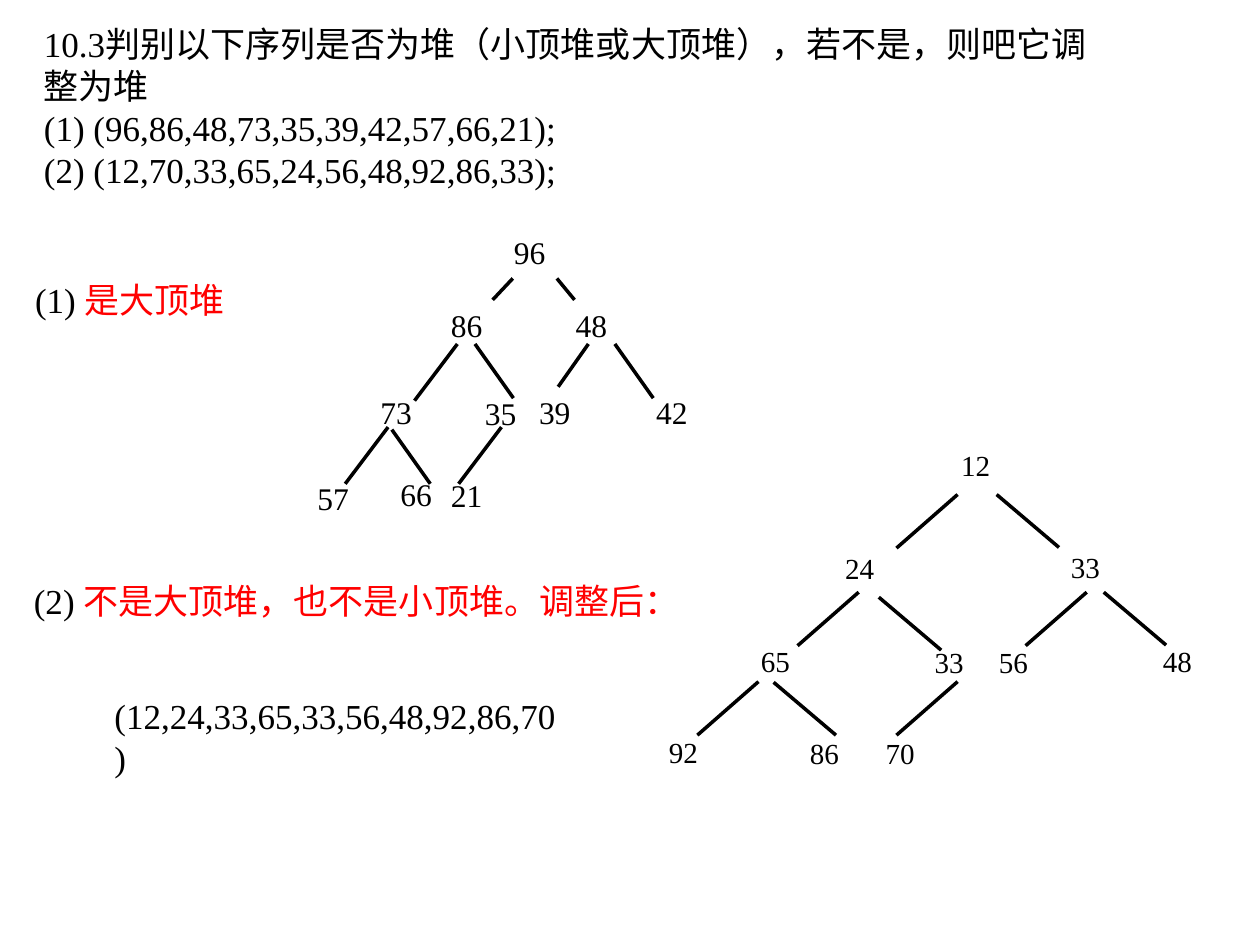
from dataclasses import dataclass

import pptx
import pptx.dml.color
import pptx.enum.shapes
import pptx.enum.text
import pptx.util
from lxml import etree

BLACK = pptx.dml.color.RGBColor(0x00, 0x00, 0x00)
WHITE = pptx.dml.color.RGBColor(0xFF, 0xFF, 0xFF)
RED = pptx.dml.color.RGBColor(0xFF, 0x00, 0x00)
FONT = "Times New Roman"
WIDTH, HEIGHT = pptx.util.Inches(10), pptx.util.Inches(7.5)
COLUMNS, ROWS = 100, 75
A_NS = "http://schemas.openxmlformats.org/drawingml/2006/main"


@dataclass(frozen=True)
class Run:
    text: str
    color: pptx.dml.color.RGBColor = BLACK


@dataclass(frozen=True)
class Passage:
    col: float
    row: float
    cols: float
    rows: float
    paragraphs: list[list[Run]]
    wrap: bool = False


@dataclass(frozen=True)
class Node:
    key: int
    col: float
    row: float


@dataclass(frozen=True)
class Branch:
    col: float
    row: float
    run: float
    drop: float


@dataclass(frozen=True)
class Heap:
    nodes: list[Node]
    branches: list[Branch]
    node_cols: float
    node_rows: float
    size: float
    spacing: float


def x(cols: float) -> int:
    return round(WIDTH * cols / COLUMNS)


def y(rows: float) -> int:
    return round(HEIGHT * rows / ROWS)


def add_run(paragraph, part: Run, size: float) -> None:
    run = paragraph.add_run()
    run.text = part.text
    run.font.name = FONT
    run.font.size = pptx.util.Pt(size)
    run.font.color.rgb = part.color


def draw_passage(shapes, passage: Passage) -> None:
    box = shapes.add_textbox(x(passage.col), y(passage.row), x(passage.cols), y(passage.rows))
    frame = box.text_frame
    frame.word_wrap = passage.wrap
    frame.auto_size = pptx.enum.text.MSO_AUTO_SIZE.SHAPE_TO_FIT_TEXT
    for index, parts in enumerate(passage.paragraphs):
        paragraph = frame.add_paragraph() if index else frame.paragraphs[0]
        for part in parts:
            add_run(paragraph, part, 20)


def draw_node(shapes, node: Node, heap: Heap) -> None:
    box = shapes.add_shape(
        pptx.enum.shapes.MSO_SHAPE.RECTANGLE,
        x(node.col), y(node.row), x(heap.node_cols), y(heap.node_rows),
    )
    box.shadow.inherit = False
    box.fill.solid()
    box.fill.fore_color.rgb = WHITE
    box.line.fill.background()
    frame = box.text_frame
    frame.word_wrap = True
    frame.vertical_anchor = pptx.enum.text.MSO_ANCHOR.TOP
    paragraph = frame.paragraphs[0]
    paragraph.alignment = pptx.enum.text.PP_ALIGN.LEFT
    paragraph.line_spacing = heap.spacing
    add_run(paragraph, Run(str(node.key)), heap.size)


def draw_branch(shapes, branch: Branch) -> None:
    line = shapes.add_connector(
        pptx.enum.shapes.MSO_CONNECTOR.STRAIGHT,
        x(branch.col), y(branch.row),
        x(branch.col + branch.run), y(branch.row + branch.drop),
    )
    line.line.color.rgb = BLACK
    line.line.width = pptx.util.Pt(2)
    etree.SubElement(line._element.spPr, f"{{{A_NS}}}effectLst")


def draw_heap(shapes, heap: Heap) -> None:
    group = shapes.add_group_shape()
    for node in heap.nodes:
        draw_node(group.shapes, node, heap)
    for branch in heap.branches:
        draw_branch(group.shapes, branch)


QUESTION = Passage(2.5, 1.3, 85, 14.4, [
    [Run("10.3判别以下序列是否为堆（小顶堆或大顶堆），若不是，则吧它调整为堆")],
    [Run("(1) (96,86,48,73,35,39,42,57,66,21);")],
    [Run("(2) (12,70,33,65,24,56,48,92,86,33);")],
], wrap=True)
FIRST_ANSWER = Passage(1.8, 21.6, 17.7, 4.4, [[Run("(1) "), Run("是大顶堆", RED)]])
SECOND_ANSWER = Passage(1.7, 45.5, 53.9, 4.4, [
    [Run("(2) "), Run("不是大顶堆，也不是小顶堆。调整后：", RED)],
])
ADJUSTED = Passage(8.1, 54.6, 37.9, 4.4, [[Run("(12,24,33,65,33,56,48,92,86,70)")]])

MAX_HEAP = Heap(
    nodes=[
        Node(96, 39.8, 18),
        Node(86, 34.8, 23.8), Node(48, 44.7, 23.8),
        Node(73, 29.2, 30.7), Node(35, 37.5, 30.8),
        Node(39, 41.8, 30.7), Node(42, 51.1, 30.7),
        Node(57, 24.2, 37.5), Node(66, 30.8, 37.2), Node(21, 34.8, 37.3),
    ],
    branches=[
        Branch(40.7, 22.1, -1.6, 1.7), Branch(44.2, 22.1, 1.4, 1.7),
        Branch(46.7, 27.3, -2.4, 3.4),
        *(Branch(col, row, -3.4, 4.5)
          for col, row in [(36.3, 27.3), (30.8, 33.9), (39.8, 33.9)]),
        *(Branch(col, row, 3.05, 4.3)
          for col, row in [(37.7, 27.3), (48.8, 27.3), (31.1, 34.1)]),
    ],
    node_cols=5, node_rows=4.9, size=18, spacing=1.0,
)

MIN_HEAP = Heap(
    nodes=[
        Node(12, 75.3, 35.3),
        Node(24, 66.1, 43.5), Node(33, 84, 43.4),
        Node(65, 59.4, 50.9), Node(33, 73.2, 51),
        Node(56, 78.3, 51), Node(48, 91.3, 50.9),
        Node(92, 52.1, 58.1), Node(86, 63.3, 58.2), Node(70, 69.3, 58.2),
    ],
    branches=[
        *(Branch(col, row, -4.85, 4.25)
          for col, row in [(76, 39.25), (68.15, 47), (60.2, 54.1), (76, 54.1), (86.25, 47)]),
        *(Branch(col, row, 4.95, 4.2)
          for col, row in [(79.1, 39.25), (87.6, 47), (69.75, 47.4), (61.4, 54.15)]),
    ],
    node_cols=4.9, node_rows=3.9, size=16.6, spacing=0.9,
)


def main() -> None:
    deck = pptx.Presentation()
    deck.slide_width, deck.slide_height = WIDTH, HEIGHT
    shapes = deck.slides.add_slide(deck.slide_layouts[6]).shapes
    draw_passage(shapes, QUESTION)
    draw_passage(shapes, FIRST_ANSWER)
    draw_heap(shapes, MAX_HEAP)
    draw_passage(shapes, SECOND_ANSWER)
    draw_heap(shapes, MIN_HEAP)
    draw_passage(shapes, ADJUSTED)
    deck.save("out.pptx")


if __name__ == "__main__":
    main()
